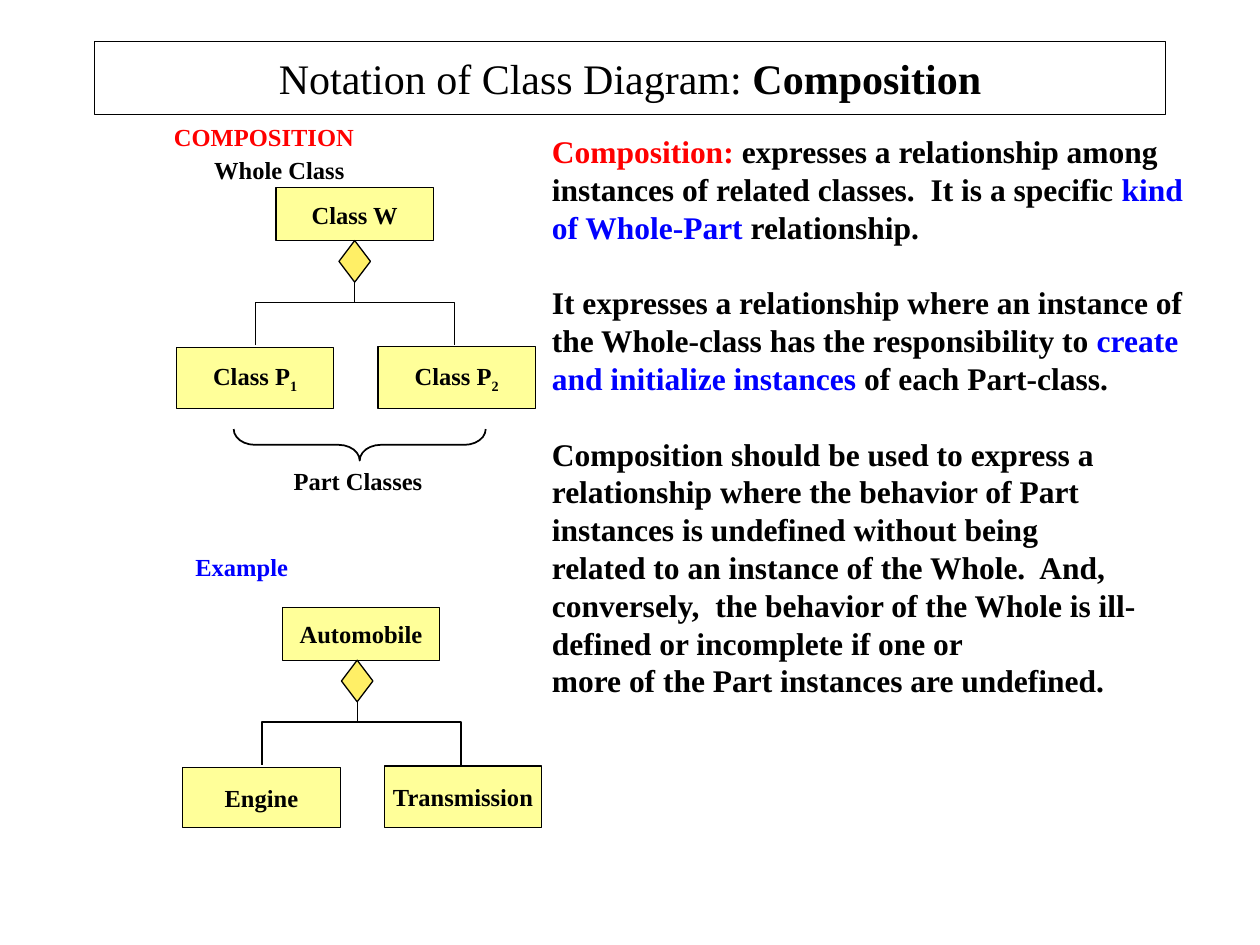
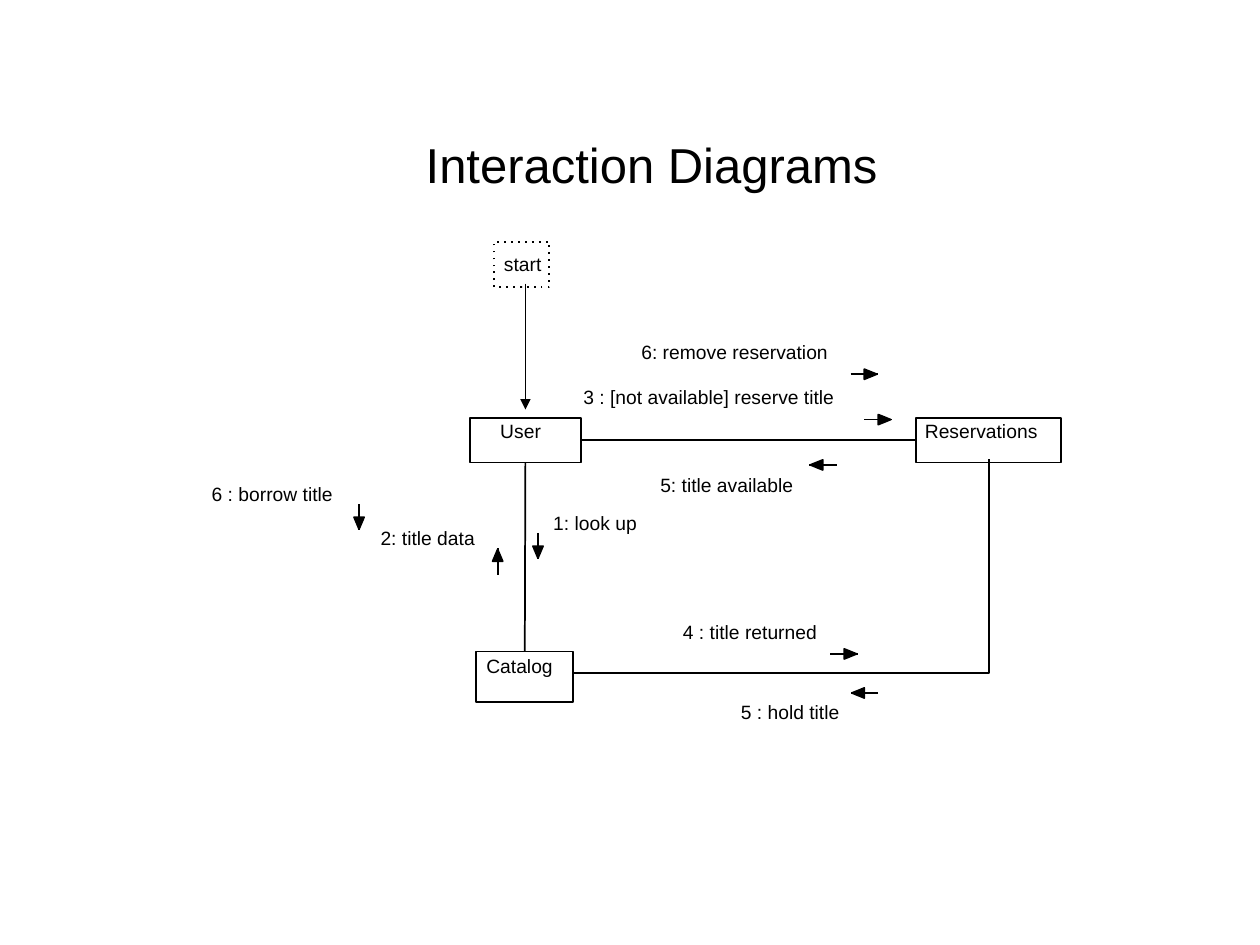
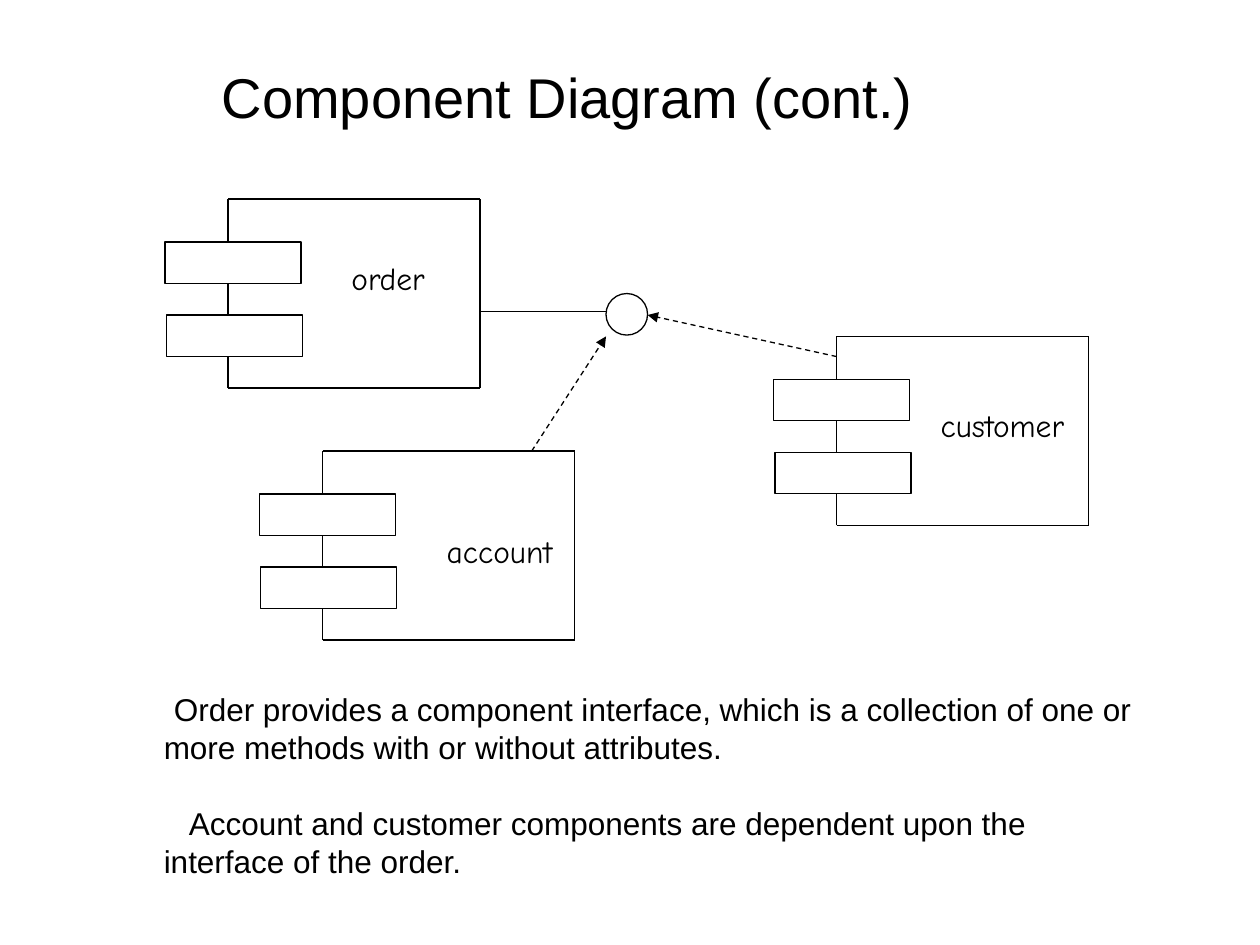
"""Build three slides on class, interaction and component diagrams."""
import dataclasses
import typing

import lxml.etree
import pptx
import pptx.dml.color
import pptx.enum.dml
import pptx.enum.shapes
import pptx.enum.text
import pptx.oxml.ns
import pptx.util

Inches = pptx.util.Inches
Pt = pptx.util.Pt
Kind = pptx.enum.shapes.MSO_SHAPE
Dash = pptx.enum.dml.MSO_LINE
Align = pptx.enum.text.PP_ALIGN
Anchor = pptx.enum.text.MSO_ANCHOR
qn = pptx.oxml.ns.qn
Area = tuple[float, float, float, float]
Point = tuple[float, float]

HUES = {
    "black": "000000",
    "white": "FFFFFF",
    "red": "FF0000",
    "blue": "0000FF",
    "cream": "FFFF99",
    "gold": "FFEF66",
}
SERIF, SANS, COMIC = "Times New Roman", "Arial", "Comic Neue"
PAD = 0.05
LEAD = 21.6


@dataclasses.dataclass
class Part:
    text: str
    hue: str = "black"
    bold: bool = False
    base: int = 0


@dataclasses.dataclass
class Style:
    font: str
    size: float
    align: typing.Any = Align.LEFT
    anchor: typing.Any = Anchor.TOP
    pads: Area = (PAD, PAD, PAD, PAD)
    lead: float = 0
    dents: tuple[float, ...] = ()


@dataclasses.dataclass
class Tree:
    left: float
    top: float
    gem: float
    whole: str
    first: list[Part]
    second: list[Part]


@dataclasses.dataclass
class Box:
    name: str
    area: Area
    pad: Point
    dots: bool = False


@dataclasses.dataclass
class Flow:
    text: str
    area: Area
    start: Point
    step: Point


@dataclasses.dataclass
class Unit:
    name: str
    left: float
    top: float
    label: Area


MID = {"align": Align.CENTER, "anchor": Anchor.MIDDLE}
NODE = Style(SERIF, 14, **MID)
NOTE = Style(SERIF, 14)
PROSE = Style(SERIF, 18, lead=LEAD)
FLOW = Style(SANS, 11, pads=(0, 0, 0, 0))
NAME = Style(COMIC, 18, **MID)


def paint(hue: str) -> pptx.dml.color.RGBColor:
    return pptx.dml.color.RGBColor.from_string(HUES[hue])


def inch(values: typing.Iterable[float]) -> list[int]:
    return [Inches(value) for value in values]


def write(shape: typing.Any, paras: list[list[Part]], style: Style) -> None:
    frame = shape.text_frame
    frame.word_wrap = True
    frame.vertical_anchor = style.anchor
    (frame.margin_left, frame.margin_top,
     frame.margin_right, frame.margin_bottom) = inch(style.pads)
    for index, parts in enumerate(paras):
        para = frame.add_paragraph() if index else frame.paragraphs[0]
        para.alignment = style.align
        if style.lead:
            para.line_spacing = Pt(style.lead)
            if index:
                para.space_before = Pt(style.lead)
        if style.dents:
            para._p.get_or_add_pPr().set("indent", str(Inches(style.dents[index])))
        for part in parts:
            for row, text in enumerate(part.text.split("\n")):
                if row:
                    para.add_line_break()
                run = para.add_run()
                run.text = text
                run.font.name = style.font
                run.font.size = Pt(style.size)
                run.font.bold = part.bold
                run.font.color.rgb = paint(part.hue)
                if part.base:
                    run._r.get_or_add_rPr().set("baseline", str(part.base * 1000))


def add_text(slide: typing.Any, area: Area, paras: list[list[Part]], style: Style) -> None:
    write(slide.shapes.add_textbox(*inch(area)), paras, style)


def dress(shape: typing.Any, fill: str = "", width: float = 0.75) -> None:
    shape.shadow.inherit = False
    if fill:
        shape.fill.solid()
        shape.fill.fore_color.rgb = paint(fill)
    else:
        shape.fill.background()
    shape.line.color.rgb = paint("black")
    shape.line.width = Pt(width)


def add_shape(slide: typing.Any, area: Area, fill: str = "", width: float = 0.75,
              kind: typing.Any = Kind.RECTANGLE) -> typing.Any:
    shape = slide.shapes.add_shape(kind, *inch(area))
    dress(shape, fill, width)
    return shape


def add_line(slide: typing.Any, start: Point, end: Point, width: float = 0.75,
             dash: typing.Any = None, head: bool = False) -> typing.Any:
    line = slide.shapes.add_connector(
        pptx.enum.shapes.MSO_CONNECTOR.STRAIGHT, *inch(start + end))
    line.line.color.rgb = paint("black")
    line.line.width = Pt(width)
    if dash:
        line.line.dash_style = dash
    props = line._element.spPr
    if head:
        lxml.etree.SubElement(props.find(qn("a:ln")), qn("a:tailEnd"), type="triangle")
    lxml.etree.SubElement(props, qn("a:effectLst"))
    return line


def add_route(slide: typing.Any, points: list[Point], width: float = 0.75,
              fill: str = "") -> None:
    first, *rest = [inch(point) for point in points]
    draft = slide.shapes.build_freeform(*first)
    draft.add_line_segments(rest, close=bool(fill))
    dress(draft.convert_to_shape(), fill, width)


def add_tree(slide: typing.Any, tree: Tree) -> None:
    x, y = tree.left, tree.top
    nodes = [
        ((x + 0.79, y, 1.25, 0.42), [Part(tree.whole)]),
        ((x, y + 1.27, 1.25, 0.48), tree.first),
        ((x + 1.6, y + 1.26, 1.25, 0.49), tree.second),
    ]
    for area, parts in nodes:
        bold = [dataclasses.replace(part, bold=True) for part in parts]
        write(add_shape(slide, area, "cream"), [bold], NODE)
    left, right, bar, foot = x + 0.63, x + 2.21, y + 0.91, y + 1.25
    add_route(slide, [(left, foot), (left, bar), (right, bar), (right, foot)])
    gem = add_shape(slide, (tree.gem, y + 0.42, 0.25, 0.33), "gold", kind=Kind.DIAMOND)
    mid = tree.gem + 0.125
    stem = add_line(slide, (mid, y + 0.75), (mid, bar))
    stem.begin_connect(gem, 2)


def add_flow(slide: typing.Any, flow: Flow) -> None:
    (x, y), (dx, dy) = flow.start, flow.step
    add_text(slide, flow.area, [[Part(flow.text)]], FLOW)
    add_line(slide, (x, y), (x + dx, y + dy), 1)
    wide, tall = (0, 0.04) if dx else (0.04, 0)
    base = (x + dx / 2, y + dy / 2)
    tip = (x + dx * 0.95, y + dy * 0.95)
    add_route(slide, [(base[0] - wide, base[1] - tall), tip,
                      (base[0] + wide, base[1] + tall)], 1, "black")


def add_unit(slide: typing.Any, unit: Unit) -> None:
    x, y = unit.left, unit.top
    right, foot = x + 2, y + 1.5
    add_shape(slide, (x - 0.5, y + 0.34, 1.08, 0.33), "white")
    add_shape(slide, (x - 0.49, y + 0.92, 1.08, 0.33))
    for low, high in ((0.34, 0), (0.92, 0.67), (1.5, 1.25)):
        add_line(slide, (x, y + low), (x, y + high))
    add_line(slide, (x, y), (right, y))
    add_line(slide, (right, y), (right, foot))
    add_line(slide, (x, foot), (right, foot))
    add_text(slide, unit.label, [[Part(unit.name)]], NAME)


def add_title(slide: typing.Any, area: Area, text: str, size: float) -> None:
    style = Style(SANS, size, Align.CENTER, Anchor.BOTTOM)
    add_text(slide, area, [[Part(text)]], style)


def draw_class(slide: typing.Any) -> None:
    banner = add_shape(slide, (0.75, 0.33, 8.5, 0.58))
    write(banner, [[Part("Notation of Class Diagram: "), Part("Composition", bold=True)]],
          Style(SERIF, 24, **MID))
    trees = [
        Tree(1.4, 1.49, 2.69, "Class W",
             [Part("Class P"), Part("1", base=-25)],
             [Part("Class P"), Part("2", base=-25)]),
        Tree(1.45, 4.82, 2.71, "Automobile", [Part("Engine")], [Part("Transmission")]),
    ]
    for tree in trees:
        add_tree(slide, tree)
    brace = add_shape(slide, (2.73, 2.53, 0.25, 2), width=1, kind=Kind.LEFT_BRACE)
    brace.rotation = 270
    brace.adjustments[0] = 0.67
    notes = [
        ("COMPOSITION", "red", 1.33, 0.92),
        ("Whole Class", "black", 1.65, 1.18),
        ("Part Classes", "black", 2.28, 3.65),
        ("Example", "blue", 1.5, 4.33),
    ]
    for text, hue, left, top in notes:
        add_text(slide, (left, top, 1.65, 0.31), [[Part(text, hue, True)]], NOTE)
    prose = [
        [Part("Composition: ", "red", True),
         Part("expresses a relationship among instances of related classes.  "
              "It is a specific ", bold=True),
         Part("kind of Whole-Part", "blue", True),
         Part(" relationship.", bold=True)],
        [Part("It expresses a relationship where an instance of the Whole-class "
              "has the responsibility to ", bold=True),
         Part("create and initialize instances", "blue", True),
         Part(" of each Part-class.", bold=True)],
        [Part("Composition should be used to express a relationship where the behavior "
              "of Part instances is undefined without being\n"
              "related to an instance of the Whole.  And, conversely,  the behavior "
              "of the Whole is ill-defined or incomplete if one or\n"
              "more of the Part instances are undefined.", bold=True)],
    ]
    add_text(slide, (4.33, 1, 5.28, 4.98), prose, PROSE)


def draw_flow(slide: typing.Any) -> None:
    add_title(slide, (1.13, 0.16, 8.08, 1.42), "Interaction Diagrams", 28)
    boxes = [
        Box("User", (3.73, 3.32, 0.88, 0.35), (0.24, 0.01)),
        Box("Catalog", (3.78, 5.17, 0.77, 0.4), (0.08, 0.02)),
        Box("Reservations", (7.27, 3.32, 1.15, 0.35), (0.07, 0.01)),
        Box("start", (3.92, 1.92, 0.44, 0.36), (0.08, 0.08), True),
    ]
    nodes = {}
    for box in boxes:
        node = add_shape(slide, box.area, "white", 1)
        if box.dots:
            node.line.dash_style = Dash.ROUND_DOT
            node._element.spPr.find(qn("a:ln")).find(qn("a:prstDash")).set("val", "dot")
        write(node, [[Part(box.name)]], dataclasses.replace(FLOW, pads=box.pad + (0, 0)))
        nodes[box.name] = node
    links = [
        ("User", 2, (4.17, 3.67), "Catalog", 0, (4.17, 5.17)),
        ("User", 3, (4.61, 3.49), "Reservations", 1, (7.27, 3.49)),
    ]
    for source, out, start, target, into, end in links:
        link = add_line(slide, start, end, 1)
        link.begin_connect(nodes[source], out)
        link.end_connect(nodes[target], into)
    add_route(slide, [(4.54, 5.34), (7.85, 5.34), (7.85, 3.64)], 1)
    add_line(slide, (4.17, 2.25), (4.17, 3.25), head=True)
    east, west, south, north = (0.22, 0), (-0.22, 0), (0, 0.21), (0, -0.21)
    flows = [
        Flow("1: look up", (4.39, 4.06, 0.75, 0.16), (4.27, 4.23), south),
        Flow("2: title data", (3.02, 4.18, 0.85, 0.16), (3.95, 4.56), north),
        Flow("3 : [not available] reserve title", (4.63, 3.06, 2.1, 0.16), (6.86, 3.33), east),
        Flow("4 : title returned", (5.42, 4.92, 1.15, 0.16), (6.59, 5.19), east),
        Flow("5 : hold title", (5.88, 5.56, 0.9, 0.16), (6.97, 5.5), west),
        Flow("6 : borrow title", (1.68, 3.83, 1.05, 0.16), (2.85, 4), south),
        Flow("6: remove reservation", (5.09, 2.7, 1.6, 0.16), (6.75, 2.97), east),
        Flow("5: title available", (5.24, 3.76, 1.15, 0.16), (6.64, 3.69), west),
    ]
    for flow in flows:
        add_flow(slide, flow)


def draw_units(slide: typing.Any) -> None:
    add_title(slide, (0.75, 0.16, 7.51, 0.92), "Component Diagram (cont.)", 32)
    units = [
        Unit("order", 1.81, 1.58, (2.65, 1.98, 0.86, 0.45)),
        Unit("account", 2.56, 3.58, (3.29, 4.15, 1.35, 0.45)),
        Unit("customer", 6.64, 2.67, (7.28, 3.15, 1.35, 0.45)),
    ]
    for unit in units:
        add_unit(slide, unit)
    add_shape(slide, (4.81, 2.33, 0.33, 0.33), kind=Kind.OVAL)
    add_line(slide, (3.81, 2.47), (4.81, 2.47))
    for start, end in (((4.22, 3.58), (4.81, 2.67)), ((6.64, 2.83), (5.14, 2.5))):
        add_line(slide, start, end, dash=Dash.DASH, head=True)
    prose = [
        [Part("Order provides a component interface, which is a collection of one or "
              "more methods with or without attributes.")],
        [Part("Account and customer components are dependent upon the interface "
              "of the order.")],
    ]
    add_text(slide, (1.25, 5.31, 7.83, 1.84), prose,
             Style(SANS, 18, anchor=Anchor.MIDDLE, lead=LEAD, dents=(0.08, 0.2)))


def main() -> None:
    deck = pptx.Presentation()
    deck.slide_width, deck.slide_height = Inches(10), Inches(7.5)
    for draw in (draw_class, draw_flow, draw_units):
        draw(deck.slides.add_slide(deck.slide_layouts[6]))
    deck.save("out.pptx")


if __name__ == "__main__":
    main()
